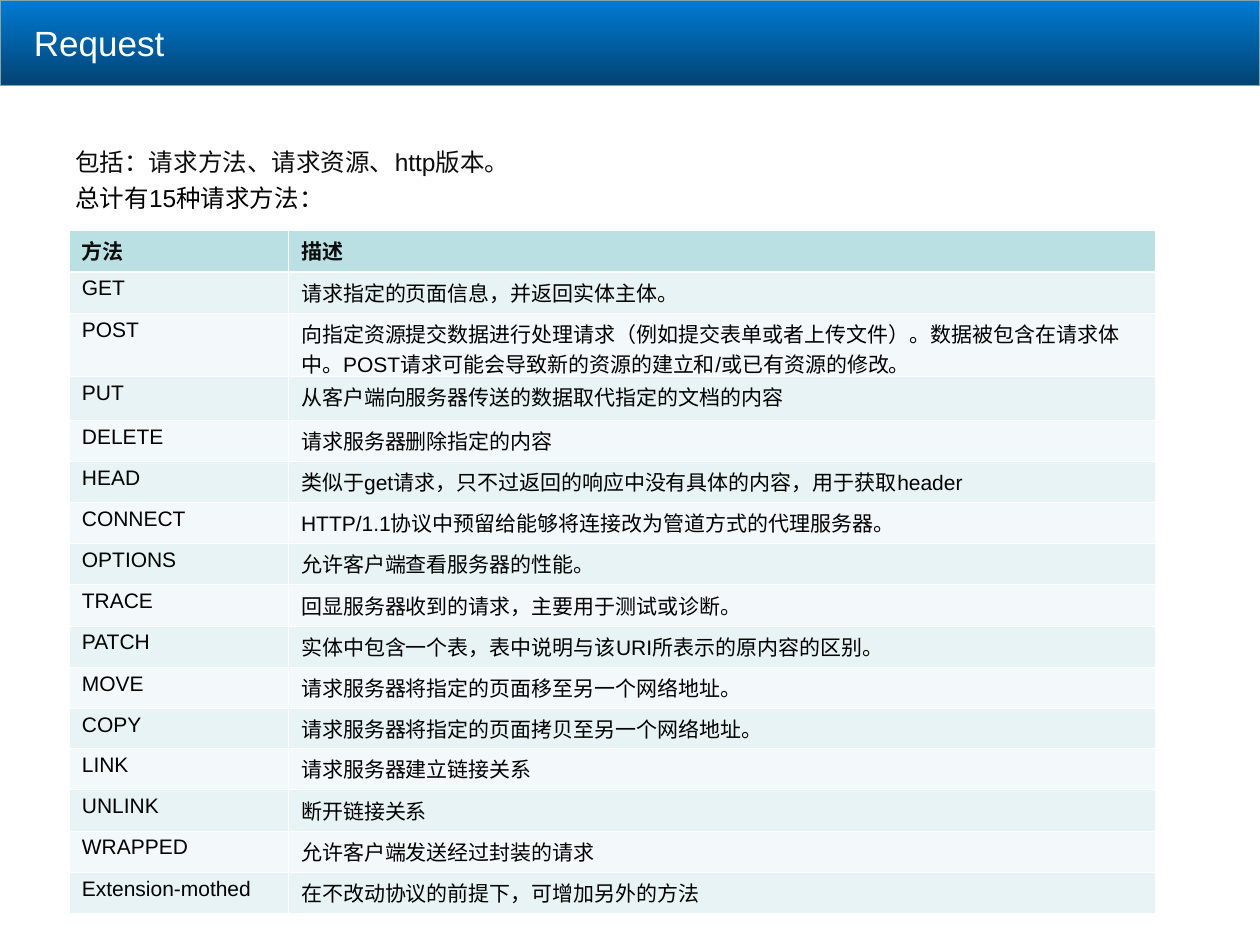
import pptx
import pptx.dml.color
import pptx.enum.shapes
import pptx.enum.text
import pptx.oxml
import pptx.oxml.ns
import pptx.util

Inches = pptx.util.Inches
Pt = pptx.util.Pt
AUTO_SIZE = pptx.enum.text.MSO_AUTO_SIZE

COLORS = {
    "white": "FFFFFF",
    "black": "000000",
    "ink": "0D0D0D",
    "banner_top": "007BD3",
    "banner_bottom": "034373",
    "banner_line": "89A4A7",
    "header": "BBE0E3",
    "odd": "E7F3F4",
    "even": "F3F9FA",
}

TITLE_FORMAT = {"word_wrap": False, "auto_size": AUTO_SIZE.SHAPE_TO_FIT_TEXT}
INTRO_FORMAT = {"word_wrap": True, "auto_size": AUTO_SIZE.NONE}
CELL_MARGINS = {"margin_top": Inches(0.04), "margin_bottom": 0}

INTRO = [
    ("包括：请求方法、请求资源、http版本。", "ink"),
    ("总计有15种请求方法：", "black"),
]

METHODS = [
    ("方法", "描述"),
    ("GET", "请求指定的页面信息，并返回实体主体。"),
    ("POST", "向指定资源提交数据进行处理请求（例如提交表单或者上传文件）。"
             "数据被包含在请求体中。POST请求可能会导致新的资源的建立和/或已有资源的修改。"),
    ("PUT", "从客户端向服务器传送的数据取代指定的文档的内容"),
    ("DELETE", "请求服务器删除指定的内容"),
    ("HEAD", "类似于get请求，只不过返回的响应中没有具体的内容，用于获取header"),
    ("CONNECT", "HTTP/1.1协议中预留给能够将连接改为管道方式的代理服务器。"),
    ("OPTIONS", "允许客户端查看服务器的性能。"),
    ("TRACE", "回显服务器收到的请求，主要用于测试或诊断。"),
    ("PATCH", "实体中包含一个表，表中说明与该URI所表示的原内容的区别。"),
    ("MOVE", "请求服务器将指定的页面移至另一个网络地址。"),
    ("COPY", "请求服务器将指定的页面拷贝至另一个网络地址。"),
    ("LINK", "请求服务器建立链接关系"),
    ("UNLINK", "断开链接关系"),
    ("WRAPPED", "允许客户端发送经过封装的请求"),
    ("Extension-mothed", "在不改动协议的前提下，可增加另外的方法"),
]

COL_WIDTHS = (1.74, 6.88)
TABLE_HEIGHT = 5.42
SPECIAL_HEIGHTS = {"POST": 0.5, "PUT": 0.35, "COPY": 0.32}
ROW_HEIGHT = ((TABLE_HEIGHT - sum(SPECIAL_HEIGHTS.values()))
              / (len(METHODS) - len(SPECIAL_HEIGHTS)))


def rgb(name):
    return pptx.dml.color.RGBColor.from_string(COLORS[name])


def set_attrs(obj, values):
    for name, value in values.items():
        setattr(obj, name, value)


def add_run(p, text, color, size, bold=False):
    p._p.get_or_add_pPr().set("hangingPunct", "0")
    r = p.add_run()
    r.text = text
    set_attrs(r.font, {"name": "Arial", "size": Pt(size), "bold": bold})
    r.font.color.rgb = rgb(color)


def add_text(s, box, lines, size, frame_format):
    tf = s.shapes.add_textbox(*map(Inches, box)).text_frame
    set_attrs(tf, frame_format)
    for i, (text, color) in enumerate(lines):
        p = tf.add_paragraph() if i else tf.paragraphs[0]
        p.space_before = Pt(3.5 if i else 0)
        add_run(p, text, color, size)


def add_banner(s, box):
    sp = s.shapes.add_shape(
        pptx.enum.shapes.MSO_SHAPE.RECTANGLE, *map(Inches, box))
    sp.shadow.inherit = False
    sp.fill.gradient()
    sp.fill.gradient_angle = 270
    for stop, color in zip(sp.fill.gradient_stops, ("banner_top", "banner_bottom")):
        stop.color.rgb = rgb(color)
    sp.line.color.rgb = rgb("banner_line")
    sp.line.width = Pt(1)


def set_borders(cell, widths):
    tc_pr = cell._tc.get_or_add_tcPr()
    for i, (side, width) in enumerate(widths.items()):
        tc_pr.insert(i, pptx.oxml.parse_xml(
            f'<a:ln{side} {pptx.oxml.ns.nsdecls("a")} w="{Pt(width)}">'
            f'<a:solidFill><a:srgbClr val="{COLORS["white"]}"/></a:solidFill>'
            f'</a:ln{side}>'))


def fill_cell(cell, text, row):
    header = row == 0
    set_attrs(cell, CELL_MARGINS)
    cell.fill.solid()
    cell.fill.fore_color.rgb = rgb("header" if header else "odd" if row % 2 else "even")
    add_run(cell.text_frame.paragraphs[0], text,
            "ink" if header else "black", 12, header)
    set_borders(cell, {
        "L": 0.45,
        "R": 0.45,
        "T": 1.47 if row == 1 else 0.45,
        "B": 1.47 if header else 0.45,
    })


def add_methods_table(s, left, top):
    table = s.shapes.add_table(
        len(METHODS), len(COL_WIDTHS), Inches(left), Inches(top),
        Inches(sum(COL_WIDTHS)), Inches(TABLE_HEIGHT)).table
    for column, width in zip(table.columns, COL_WIDTHS):
        column.width = Inches(width)
    for i, (row, texts) in enumerate(zip(table.rows, METHODS)):
        row.height = Inches(SPECIAL_HEIGHTS.get(texts[0], ROW_HEIGHT))
        for cell, text in zip(row.cells, texts):
            fill_cell(cell, text, i)


def main():
    prs = pptx.Presentation()
    set_attrs(prs, {"slide_width": Inches(10), "slide_height": Inches(7.5)})
    s = prs.slides.add_slide(prs.slide_layouts[6])
    add_text(s, (0.5, 1.12, 9, 5.58), INTRO, 14, INTRO_FORMAT)
    add_banner(s, (0, 0, 10, 0.68))
    add_text(s, (0.17, 0.12, 1.25, 0.44), [("Request", "white")], 20, TITLE_FORMAT)
    add_methods_table(s, 0.55, 1.83)
    prs.save("out.pptx")


if __name__ == "__main__":
    main()
